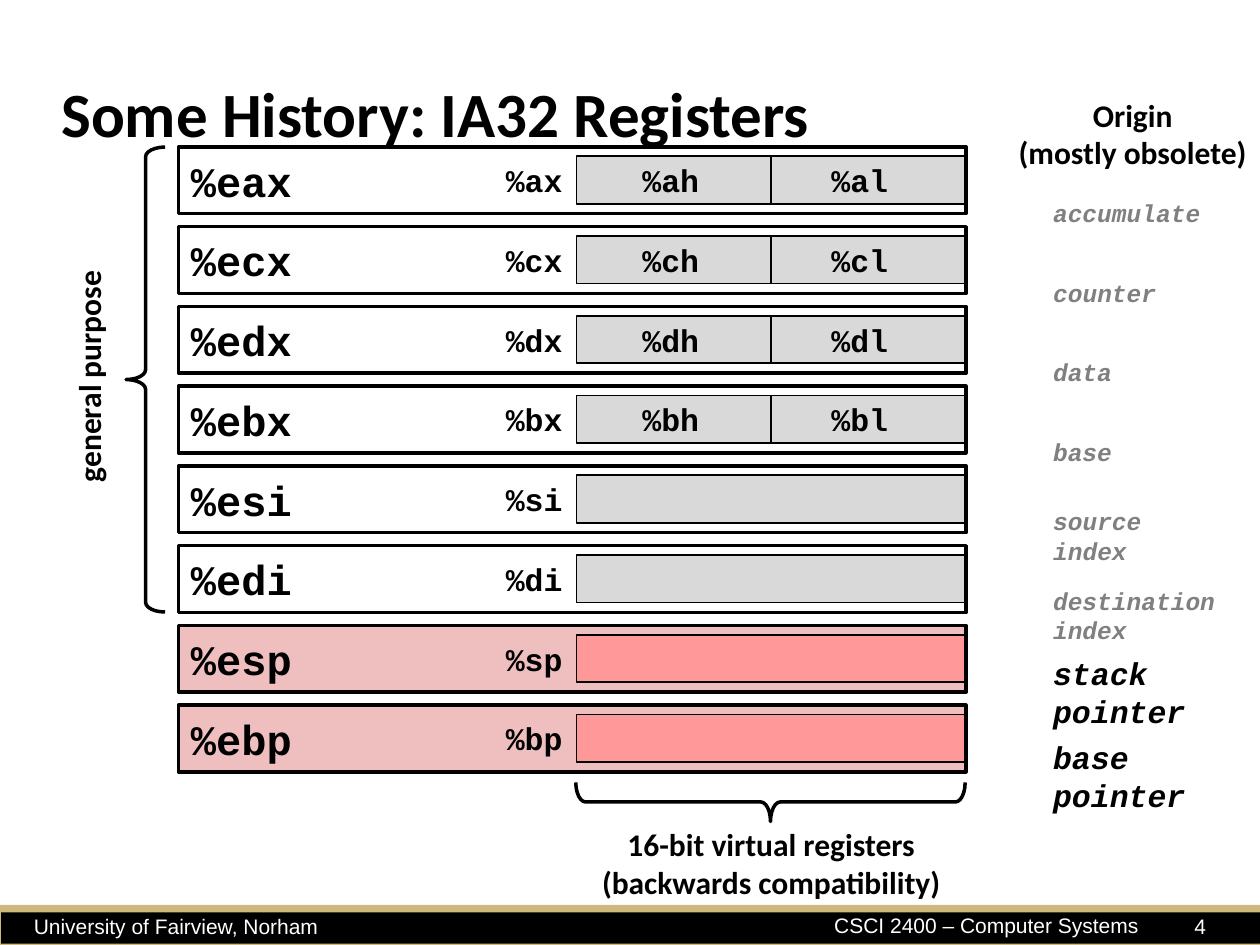
from dataclasses import dataclass

from lxml.etree import SubElement
from pptx import Presentation
from pptx.dml.color import RGBColor
from pptx.enum.shapes import MSO_CONNECTOR, MSO_SHAPE
from pptx.enum.text import MSO_ANCHOR, MSO_AUTO_SIZE, PP_ALIGN
from pptx.oxml.ns import qn
from pptx.util import Pt


@dataclass(frozen=True)
class Theme:
    ink: str = "000000"
    paper: str = "FFFFFF"
    gold: str = "CFB87C"
    gray: str = "D9D9D9"
    dim: str = "808080"
    pink: str = "EFBFBF"
    red: str = "FF9999"
    sans: str = "Calibri"
    mono: str = "Courier New"
    foot: str = "Arial"
    head: int = 36
    big: int = 24
    mid: int = 18
    small: int = 14
    tiny: int = 12


T = Theme()

# Register grid, in points
TOP, STEP = 84, 45.57
LEFT, WIDE, HIGH = 102, 450, 38.16
HALF, SPAN, TALL = 329.5, 222, 27.2
NAMES = ["ax", "cx", "dx", "bx", "si", "di", "sp", "bp"]

# Origin of each name: top of the label and its lines
ORIGINS = [
    (109.4, ["accumulate"]),
    (155.5, ["counter"]),
    (200.2, ["data"]),
    (246.2, ["base"]),
    (285.8, ["source", "index"]),
    (331.2, ["destination", "index"]),
    (370.1, ["stack", "pointer"]),
    (418.3, ["base", "pointer"]),
]


def write(frame, lines, size, font, color=T.ink, bold=True, slant=False,
          align=PP_ALIGN.LEFT):
    for i, line in enumerate(lines):
        para = frame.paragraphs[0] if i == 0 else frame.add_paragraph()
        para.alignment = align
        run = para.add_run()
        run.text = line
        run.font.size = Pt(size)
        run.font.name = font
        run.font.bold = bold
        run.font.italic = slant
        run.font.color.rgb = RGBColor.from_string(color)


def label(slide, x, y, w, h, lines, size, font, wrap=False, **style):
    box = slide.shapes.add_textbox(Pt(x), Pt(y), Pt(w), Pt(h))
    frame = box.text_frame
    frame.word_wrap = wrap
    frame.auto_size = MSO_AUTO_SIZE.SHAPE_TO_FIT_TEXT
    write(frame, lines, size, font, **style)
    return box


def code(slide, x, y, lines, size, **style):
    # A fixed-pitch letter is 0.6 of the type size wide; add insets and slack
    wide = 0.6 * size * max(map(len, lines)) + 14.4 + 2
    high = 1.14 * size * len(lines) + 8
    label(slide, x, y, wide, high, lines, size, T.mono, **style)


def block(shapes, x, y, w, h, fill, line=None):
    rect = shapes.add_shape(MSO_SHAPE.RECTANGLE, Pt(x), Pt(y), Pt(w), Pt(h))
    rect.shadow.inherit = False
    rect.fill.solid()
    rect.fill.fore_color.rgb = RGBColor.from_string(fill)
    if line:
        rect.line.color.rgb = RGBColor.from_string(T.ink)
        rect.line.width = Pt(line)
    else:
        rect.line.fill.background()
    return rect


def split(shapes, rect):
    mid = rect.left + rect.width // 2
    rule = shapes.add_connector(MSO_CONNECTOR.STRAIGHT, mid, rect.top,
                                mid, rect.top + rect.height)
    rule.begin_connect(rect, 0)
    rule.end_connect(rect, 2)
    rule.line.color.rgb = RGBColor.from_string(T.ink)
    rule.line.width = Pt(1)
    SubElement(rule._element.spPr, qn("a:effectLst"))


def brace(slide, x, y, w, h, turn):
    mark = slide.shapes.add_shape(MSO_SHAPE.RIGHT_BRACE, Pt(x), Pt(y), Pt(w), Pt(h))
    mark.shadow.inherit = False
    mark.adjustments[0] = 0.25
    mark.adjustments[1] = 0.5
    mark.rotation = turn
    mark.fill.background()
    mark.line.color.rgb = RGBColor.from_string(T.ink)
    mark.line.width = Pt(2)


def footer(slide):
    block(slide.shapes, 0, 517, 720, 23, T.gold)
    block(slide.shapes, 0.72, 521.3, 720, 18, T.ink)
    style = dict(wrap=True, color=T.paper, bold=False)
    label(slide, 12.24, 518.4, 200, 21.6, ["University of Fairview, Norham"],
          T.tiny, T.foot, **style)
    label(slide, 468, 517.7, 191.5, 21.6, ["CSCI 2400 – Computer Systems"],
          T.tiny, T.foot, align=PP_ALIGN.CENTER, **style)
    label(slide, 675.4, 518.4, 33, 21.6, ["4"], T.tiny, T.foot, **style)


def title(slide):
    box = slide.shapes.add_textbox(Pt(28), Pt(34.56), Pt(597.6), Pt(59.76))
    box.text_frame.word_wrap = True
    box.text_frame.vertical_anchor = MSO_ANCHOR.MIDDLE
    write(box.text_frame, ["Some History: IA32 Registers"], T.head, T.sans)


def registers(slide):
    # 32-bit registers
    group = slide.shapes.add_group_shape()
    for i, name in enumerate(NAMES):
        fill = T.pink if i >= 6 else T.paper
        rect = block(group.shapes, LEFT, TOP + i * STEP, WIDE, HIGH, fill, 2)
        rect.text_frame.word_wrap = True
        rect.text_frame.vertical_anchor = MSO_ANCHOR.MIDDLE
        write(rect.text_frame, ["%e" + name], T.big, T.mono)

    # 16-bit parts; the first four split into bytes
    for i in range(len(NAMES)):
        y = TOP + i * STEP + 5.3
        if i < 4:
            group = slide.shapes.add_group_shape()
            rect = block(group.shapes, HALF, y, SPAN, TALL, T.gray, 1)
            split(group.shapes, rect)
        else:
            fill = T.red if i >= 6 else T.gray
            block(slide.shapes, HALF, y, SPAN, TALL, fill, 1)

    # Names of the parts
    for i, name in enumerate(NAMES):
        y = TOP + i * STEP + 4.5
        code(slide, 282, y, ["%" + name], T.mid)
        if i < 4:
            code(slide, 360, y, [f"%{name[0]}h"], T.mid)
            code(slide, 468, y, [f"%{name[0]}l"], T.mid)


def notes(slide):
    # Braces and their captions
    brace(slide, 429.1, 347, 22.3, 222.5, 90)
    label(slide, 336, 468, 209.5, 51,
          ["16-bit virtual registers", "(backwards compatibility)"],
          T.mid, T.sans, align=PP_ALIGN.CENTER)
    brace(slide, 72, TOP, 22.3, 265.7, 180)
    side = label(slide, -17.28, 200.2, 136, 28.8, ["general purpose"], T.mid, T.sans)
    side.rotation = 270

    # Origin column
    for i, (y, lines) in enumerate(ORIGINS):
        size, color = (T.mid, T.ink) if i >= 6 else (T.small, T.dim)
        code(slide, 594.72, y, lines, size, color=color, slant=True)
    label(slide, 574.56, 51.1, 145.4, 51, ["Origin", "(mostly obsolete)"],
          T.mid, T.sans, align=PP_ALIGN.CENTER)


def main():
    deck = Presentation()
    deck.slide_width, deck.slide_height = Pt(720), Pt(540)
    slide = deck.slides.add_slide(deck.slide_layouts[6])
    footer(slide)
    title(slide)
    registers(slide)
    notes(slide)
    deck.save("out.pptx")


if __name__ == "__main__":
    main()
